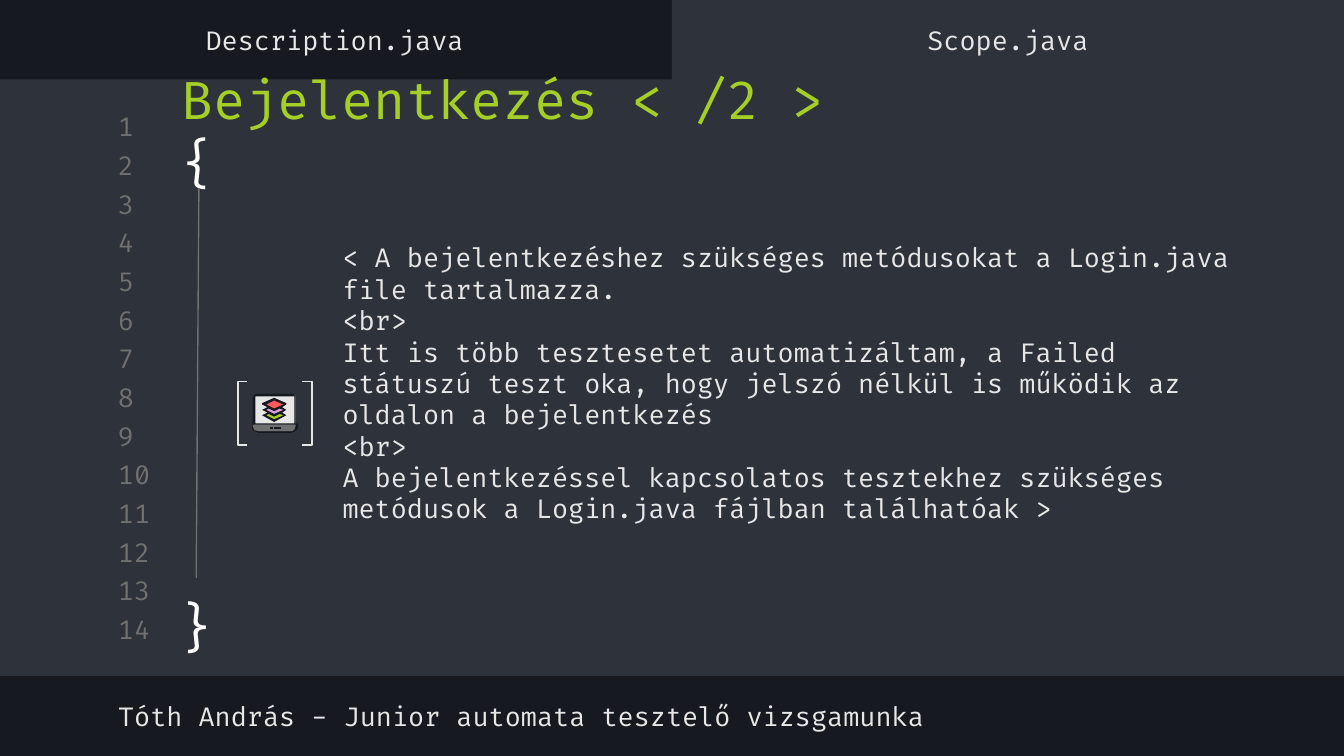
from dataclasses import dataclass

from lxml import etree
from pptx import Presentation
from pptx.dml.color import RGBColor
from pptx.enum.shapes import MSO_CONNECTOR, MSO_SHAPE
from pptx.enum.text import MSO_ANCHOR, PP_ALIGN
from pptx.oxml.ns import qn
from pptx.util import Inches, Pt

RECTANGLE = MSO_SHAPE.RECTANGLE
LEFT_BRACKET = MSO_SHAPE.LEFT_BRACKET
STRAIGHT = MSO_CONNECTOR.STRAIGHT
TOP, MIDDLE = MSO_ANCHOR.TOP, MSO_ANCHOR.MIDDLE
LEFT, CENTER = PP_ALIGN.LEFT, PP_ALIGN.CENTER


@dataclass(frozen=True)
class Theme:
    font: str = "Fira Code"
    dark: str = "16191F"
    panel: str = "2E323B"
    muted: str = "707070"
    text: str = "E7E7E7"
    white: str = "FFFFFF"
    green: str = "A5CF27"
    purple: str = "DBA0DB"
    red: str = "FF5858"
    body_size: int = 14
    title_size: int = 28
    line_width: float = 0.75


THEME = Theme()
BODY = [
    "< A bejelentkezéshez szükséges metódusokat a Login.java file tartalmazza.",
    "<br>",
    "Itt is több tesztesetet automatizáltam, a Failed státuszú teszt oka, "
    "hogy jelszó nélkül is működik az oldalon a bejelentkezés",
    "<br>",
    "A bejelentkezéssel kapcsolatos tesztekhez szükséges metódusok a "
    "Login.java fájlban találhatóak >",
]

LAYER = [(13, 4), (9, 6), (17, 10), (25, 6), (21, 4)]
DIAMOND = [(17, 4), (9, 8), (17, 12), (25, 8)]
CHEVRON = [(21, 11), (24, 12), (17, 15), (11, 12), (13, 11), (17, 13)]
SCREEN = [(3, 1), (2, 2), (2, 23), (33, 23), (33, 2), (32, 1)]
BASE = [(0, 23), (0, 24), (2, 27), (5, 28), (30, 28), (33, 27), (34, 24), (34, 23)]
LAPTOP_EDGE = [
    [(3, 0), (1, 2), (1, 22), (0, 23), (0, 24), (1, 27), (5, 29), (30, 29),
     (34, 27), (35, 24), (35, 23), (34, 22), (33, 22), (33, 2), (31, 0)],
    [(3, 2), (32, 2), (32, 22), (3, 22)],
    [(1, 23), (1, 24), (2, 27), (5, 28), (30, 28), (32, 27), (33, 24), (33, 23)],
]
STACK_EDGE = [
    [(17, 3), (8, 7), (8, 8), (12, 10), (8, 12), (12, 14), (8, 16), (17, 21),
     (26, 16), (23, 14), (26, 12), (23, 10), (26, 8), (26, 7)],
    [(17, 5), (24, 8), (17, 11), (11, 8)],
]


def color(value):
    return RGBColor.from_string(value)


def shifted(points, drop):
    return [(x, y + drop) for x, y in points]


def add_text(page, box, lines, ink=THEME.text, size=THEME.body_size,
             align=LEFT, anchor=MIDDLE):
    frame = page.shapes.add_textbox(*map(Inches, box)).text_frame
    frame.word_wrap = True
    frame.vertical_anchor = anchor
    frame.margin_left = frame.margin_right = Inches(0.1)
    frame.margin_top = frame.margin_bottom = Inches(0.1)
    frame.text = "\n".join(lines)
    for para in frame.paragraphs:
        para.alignment = align
        for span in para.runs:
            style_span(span, ink, size)
    return frame


def style_span(span, ink, size):
    span.font.name = THEME.font
    span.font.size = Pt(size)
    span.font.color.rgb = color(ink)


def add_panel(page, box):
    panel = page.shapes.add_shape(RECTANGLE, *map(Inches, box))
    fill_plain(panel, THEME.panel)


def fill_plain(shape, fill):
    shape.shadow.inherit = False
    shape.fill.solid()
    shape.fill.fore_color.rgb = color(fill)
    shape.line.fill.background()


def add_outline(group, left, top, contours, fill):
    first, *others = contours
    builder = group.shapes.build_freeform(*first[0], scale=Inches(0.01))
    builder.add_line_segments(first[1:], close=True)
    for contour in others:
        builder.move_to(*contour[0])
        builder.add_line_segments(contour[1:], close=True)
    fill_plain(builder.convert_to_shape(Inches(left), Inches(top)), fill)


def add_tabs(page, top, width, height):
    for left, name in [(-0.01, "Description.java"), (width, "Scope.java")]:
        add_text(page, (left, top, width, height), [name], align=CENTER)


def add_line_numbers(page, left, top, count, step):
    for index in range(count):
        add_text(page, (left, top + index * step, 0.47, 0.24), [str(index + 1)],
                 THEME.muted)


def add_title(page, box):
    frame = add_text(page, box, ["Bejelentkezés < /2 > "], THEME.green,
                     THEME.title_size)
    brace = frame.paragraphs[0].add_run()
    brace.text = "{"
    style_span(brace, THEME.white, THEME.title_size)


def add_block_end(page, left, top, height):
    rule = page.shapes.add_connector(
        STRAIGHT, Inches(left + 0.29), Inches(top), Inches(left + 0.27),
        Inches(top + height))
    rule.line.color.rgb = color(THEME.muted)
    rule.line.width = Pt(THEME.line_width)
    etree.SubElement(rule._element.spPr, qn("a:effectLst"))
    add_text(page, (left, top + height + 0.02, 0.55, 0.67), ["}"], THEME.white,
             THEME.title_size, CENTER, TOP)


def add_laptop(page, left, top):
    group = page.shapes.add_group_shape()
    chevrons = [CHEVRON, shifted(CHEVRON, 4)]
    lens = [(14, 25), (16, 25), (16, 26), (14, 26)]
    key = [(17, 25), (22, 25), (22, 26), (17, 26)]
    parts = [
        ([SCREEN], THEME.text),
        ([shifted(LAYER, 10)], THEME.green),
        ([shifted(LAYER, 6)], THEME.purple),
        ([DIAMOND], THEME.red),
        ([BASE], THEME.muted),
        ([lens], THEME.dark),
        (LAPTOP_EDGE, THEME.dark),
        ([key], THEME.dark),
        (STACK_EDGE + chevrons, THEME.dark),
    ]
    for contours, fill in parts:
        add_outline(group, left, top, contours, fill)


def add_brackets(page, left, top, width, height):
    group = page.shapes.add_group_shape()
    thickness = 0.07
    for x, turn in [(left + width - thickness, 180), (left, 0)]:
        bracket = group.shapes.add_shape(
            LEFT_BRACKET, *map(Inches, (x, top, thickness, height)))
        bracket.adjustments[0] = 0
        bracket.rotation = turn
        bracket.shadow.inherit = False
        bracket.fill.background()
        bracket.line.color.rgb = color(THEME.text)
        bracket.line.width = Pt(THEME.line_width)


def build_login_page(deck):
    page = deck.slides.add_slide(deck.slide_layouts[6])
    page.background.fill.solid()
    page.background.fill.fore_color.rgb = color(THEME.dark)
    add_panel(page, (0, 0.59, 10, 4.44))
    add_panel(page, (5, 0, 5, 0.65))
    add_line_numbers(page, 0.78, 0.82, 14, 3.74 / 13)
    add_text(page, (2.45, 1.4, 7.02, 2.9), BODY)
    add_title(page, (1.25, 0.68, 5.44, 0.58))
    add_laptop(page, 1.87, 2.93)
    add_text(page, (0.78, 5.13, 8.29, 0.39),
             ["Tóth András - Junior automata tesztelő vizsgamunka"])
    add_tabs(page, 0.1, 5, 0.39)
    add_brackets(page, 1.77, 2.84, 0.55, 0.47)
    add_block_end(page, 1.19, 1.4, 2.9)


def main():
    deck = Presentation()
    deck.slide_width = Inches(10)
    deck.slide_height = deck.slide_width * 9 // 16
    build_login_page(deck)
    deck.save("out.pptx")


if __name__ == "__main__":
    main()
